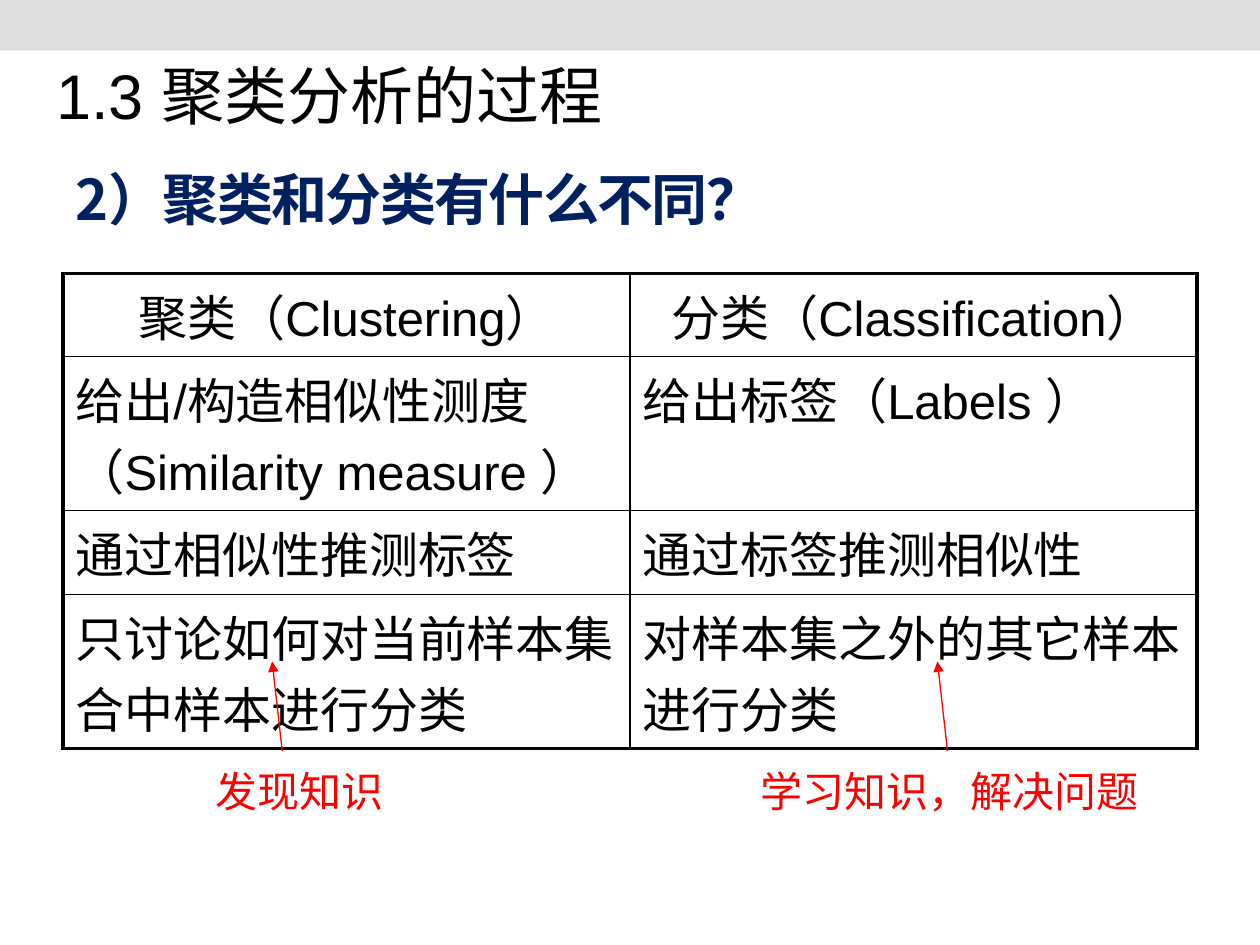
from pptx import Presentation
from pptx.dml.color import RGBColor
from pptx.enum.shapes import MSO_CONNECTOR, MSO_SHAPE
from pptx.enum.text import MSO_ANCHOR, MSO_AUTO_SIZE, PP_ALIGN
from pptx.oxml.ns import qn
from pptx.util import Inches, Pt
from lxml import etree

RECTANGLE = MSO_SHAPE.RECTANGLE
STRAIGHT = MSO_CONNECTOR.STRAIGHT
MIDDLE, TOP = MSO_ANCHOR.MIDDLE, MSO_ANCHOR.TOP
CENTER, LEFT = PP_ALIGN.CENTER, PP_ALIGN.LEFT
FIT_SHAPE = MSO_AUTO_SIZE.SHAPE_TO_FIT_TEXT
LATIN_FONT, CHINESE_FONT = "Arial", "Noto Sans CJK SC"
COLORS = {
    "band": "DDDDDD",
    "heading": "002060",
    "text": "000000",
    "note": "FF0000",
}
OUTER_BORDER, INNER_BORDER = 2.25, 1
ROW_HEIGHTS = [0.66, 1.22, 0.67, 1.22]
COMPARISON = [
    ("聚类（Clustering）", "分类（Classification）"),
    ("给出/构造相似性测度（Similarity measure ）", "给出标签（Labels ）"),
    ("通过相似性推测标签", "通过标签推测相似性"),
    ("只讨论如何对当前样本集合中样本进行分类", "对样本集之外的其它样本进行分类"),
]


def rgb(name):
    """Return the named colour."""
    return RGBColor.from_string(COLORS[name])


def write(text_frame, text, size, color, font=LATIN_FONT, bold=False):
    """Set one paragraph of text and return its paragraph."""
    text_frame.text = text
    paragraph = text_frame.paragraphs[0]
    for run in paragraph.runs:
        run.font.size = Pt(size)
        run.font.name = font
        run.font.bold = bold
        run.font.color.rgb = rgb(color)
        east_asian = etree.SubElement(run.font._element, qn("a:ea"))
        east_asian.set("typeface", CHINESE_FONT)
    return paragraph


def add_text(slide, box, text, size, color, anchor=MIDDLE, wrap=True, **style):
    """Add a text box and return its paragraph."""
    text_frame = slide.shapes.add_textbox(*map(Inches, box)).text_frame
    text_frame.word_wrap = wrap
    text_frame.vertical_anchor = anchor
    if not wrap:
        text_frame.auto_size = FIT_SHAPE
    return write(text_frame, text, size, color, **style)


def add_band(slide, box):
    """Add the plain band along the top edge."""
    band = slide.shapes.add_shape(RECTANGLE, *map(Inches, box))
    band.shadow.inherit = False
    band.fill.solid()
    band.fill.fore_color.rgb = rgb("band")
    band.line.fill.background()


def add_heading(slide, box):
    """Add the question with slightly tightened letters."""
    paragraph = add_text(slide, box, "2）聚类和分类有什么不同？", 32, "heading",
                         font=CHINESE_FONT, bold=True)
    for run in paragraph.runs:
        run.font._element.set("spc", "-100")


def set_borders(cell, widths):
    """Draw the left, right, top and bottom borders of a cell."""
    properties = cell._tc.get_or_add_tcPr()
    for index, (side, width) in enumerate(zip("LRTB", widths)):
        line = etree.Element(qn(f"a:ln{side}"), w=str(Pt(width)))
        fill = etree.SubElement(line, qn("a:solidFill"))
        etree.SubElement(fill, qn("a:srgbClr"), val=COLORS["text"])
        properties.insert(index, line)


def add_comparison(slide, box):
    """Add the two-column comparison with a heavy outer frame."""
    row_count, column_count = len(COMPARISON), len(COMPARISON[0])
    table = slide.shapes.add_table(row_count, column_count, *map(Inches, box)).table
    table.first_row = table.horz_banding = False
    for row, height in zip(table.rows, ROW_HEIGHTS):
        row.height = Inches(height)
    for row_index, texts in enumerate(COMPARISON):
        for column_index, text in enumerate(texts):
            cell = table.cell(row_index, column_index)
            cell.fill.background()
            paragraph = write(cell.text_frame, text, 28, "text")
            paragraph.alignment = CENTER if row_index == 0 else LEFT
            paragraph.space_before = Pt(5.6)
            on_edge = (column_index == 0, column_index == column_count - 1,
                       row_index == 0, row_index == row_count - 1)
            set_borders(cell, [OUTER_BORDER if edge else INNER_BORDER for edge in on_edge])


def add_note(slide, box, text, arrow_left):
    """Add a red note and the arrow rising from it into the table."""
    add_text(slide, box, text, 24, "note", anchor=TOP, wrap=False)
    arrow_bottom = box[1] - 0.07
    ends = (arrow_left + 0.08, arrow_bottom, arrow_left, arrow_bottom - 0.71)
    arrow = slide.shapes.add_connector(STRAIGHT, *map(Inches, ends))
    arrow.line.color.rgb = rgb("note")
    arrow.line.width = Pt(0.75)
    etree.SubElement(arrow.line._get_or_add_ln(), qn("a:tailEnd"), type="triangle")
    etree.SubElement(arrow._element.spPr, qn("a:effectLst"))


def main():
    """Build and save the slide."""
    presentation = Presentation()
    presentation.slide_width, presentation.slide_height = Inches(10), Inches(7.5)
    slide = presentation.slides.add_slide(presentation.slide_layouts[6])
    add_band(slide, (0, 0, 10, 0.4))
    add_heading(slide, (0.5, 1.15, 9, 0.85))
    add_comparison(slide, (0.5, 2.17, 9, sum(ROW_HEIGHTS)))
    add_note(slide, (1.61, 6.03, 1.55, 0.5), "发现知识", 2.16)
    add_note(slide, (5.94, 6.03, 3.2, 0.5), "学习知识，解决问题", 7.44)
    add_text(slide, (0.35, 0, 9, 1.5), "1.3 聚类分析的过程", 36, "text")
    presentation.save("out.pptx")


if __name__ == "__main__":
    main()
